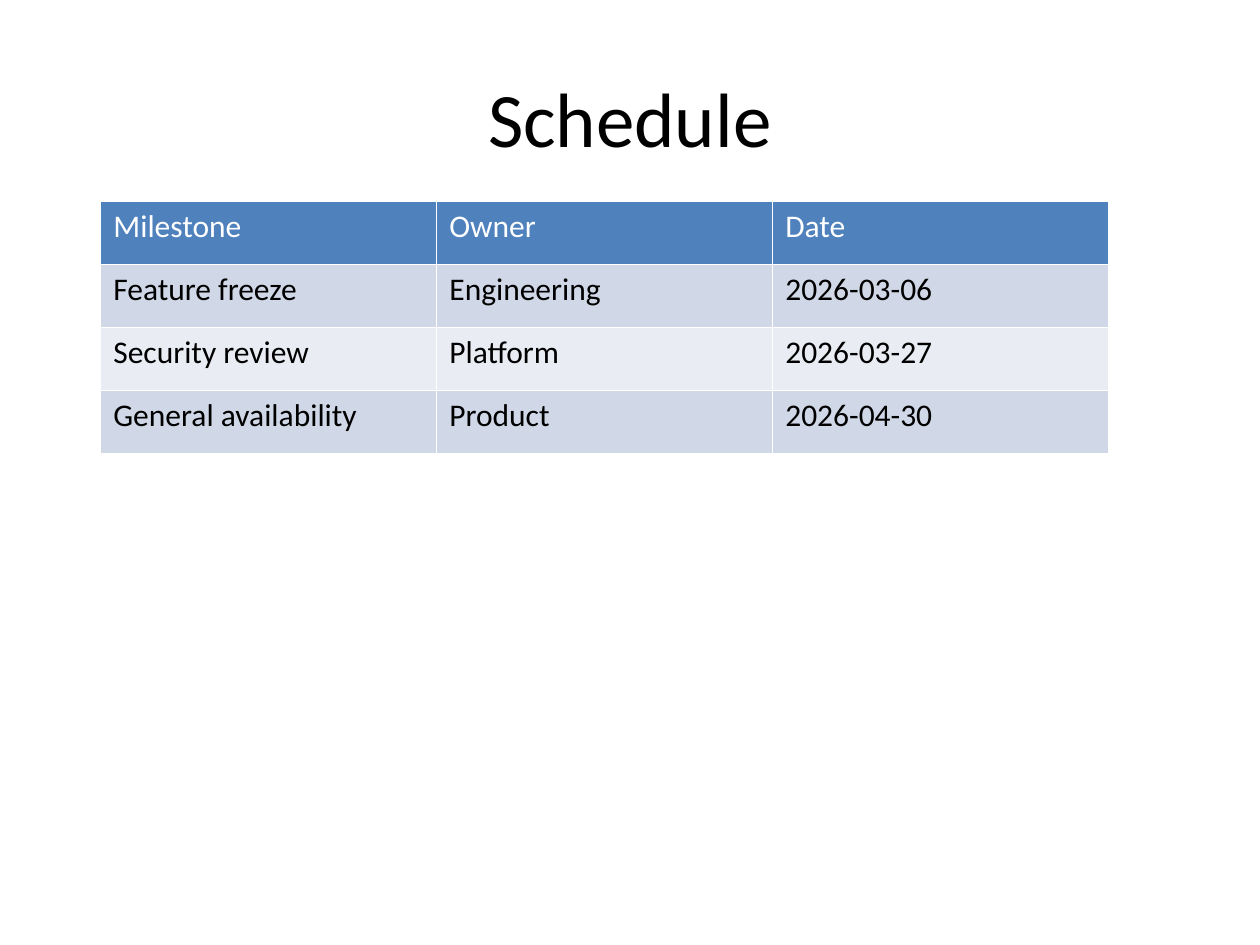
from lxml.etree import SubElement
from pptx import Presentation
from pptx.dml.color import RGBColor
from pptx.enum.text import MSO_ANCHOR, PP_ALIGN
from pptx.oxml.ns import qn
from pptx.util import Inches, Pt

FONT = "Calibri"
WHITE, BLACK = "FFFFFF", "000000"
HEADER_FILL = "4F81BD"
BAND_FILLS = ["D0D8E7", "E9ECF3"]
BORDER_WIDTH = Pt(0.45)

SCHEDULE = [
    ["Milestone", "Owner", "Date"],
    ["Feature freeze", "Engineering", "2026-03-06"],
    ["Security review", "Platform", "2026-03-27"],
    ["General availability", "Product", "2026-04-30"],
]


def color(hex_value):
    return RGBColor.from_string(hex_value)


def write_text(para, text, size, hex_value, **para_format):
    for name, value in para_format.items():
        setattr(para, name, value)
    span = para.add_run()
    span.text = text
    font_format = {"name": FONT, "size": Pt(size), "bold": False}
    for name, value in font_format.items():
        setattr(span.font, name, value)
    span.font.color.rgb = color(hex_value)


def add_borders(cell, hex_value):
    """Line all four sides; call before filling, as lines come first in the XML."""
    properties = cell._tc.get_or_add_tcPr()
    for side in ("a:lnL", "a:lnR", "a:lnT", "a:lnB"):
        line = SubElement(properties, qn(side), w=str(BORDER_WIDTH))
        fill = SubElement(line, qn("a:solidFill"))
        SubElement(fill, qn("a:srgbClr"), val=hex_value)


def add_title(page, text, left, top, width, height):
    box = page.shapes.add_textbox(left, top, width, height)
    box.text_frame.word_wrap = True
    box.text_frame.vertical_anchor = MSO_ANCHOR.MIDDLE
    write_text(box.text_frame.paragraphs[0], text, 44, BLACK,
               alignment=PP_ALIGN.CENTER)


def add_schedule(page, rows, left, top, width, height):
    table = page.shapes.add_table(
        len(rows), len(rows[0]), left, top, width, height).table
    for row_index, row in enumerate(rows):
        is_header = row_index == 0
        fill = HEADER_FILL if is_header else BAND_FILLS[(row_index - 1) % 2]
        for column_index, text in enumerate(row):
            cell = table.cell(row_index, column_index)
            add_borders(cell, WHITE)
            cell.fill.solid()
            cell.fill.fore_color.rgb = color(fill)
            write_text(cell.text_frame.paragraphs[0], text, 18,
                       WHITE if is_header else BLACK, line_spacing=0.98)


def main():
    deck = Presentation()
    deck.slide_width, deck.slide_height = Inches(10), Inches(7.5)
    page = deck.slides.add_slide(deck.slide_layouts[6])
    add_title(page, "Schedule", Inches(0.5), Inches(0.3), Inches(9), Inches(1.25))
    add_schedule(page, SCHEDULE, Inches(0.8), Inches(1.6), Inches(8), Inches(2))
    deck.save("out.pptx")


if __name__ == "__main__":
    main()
